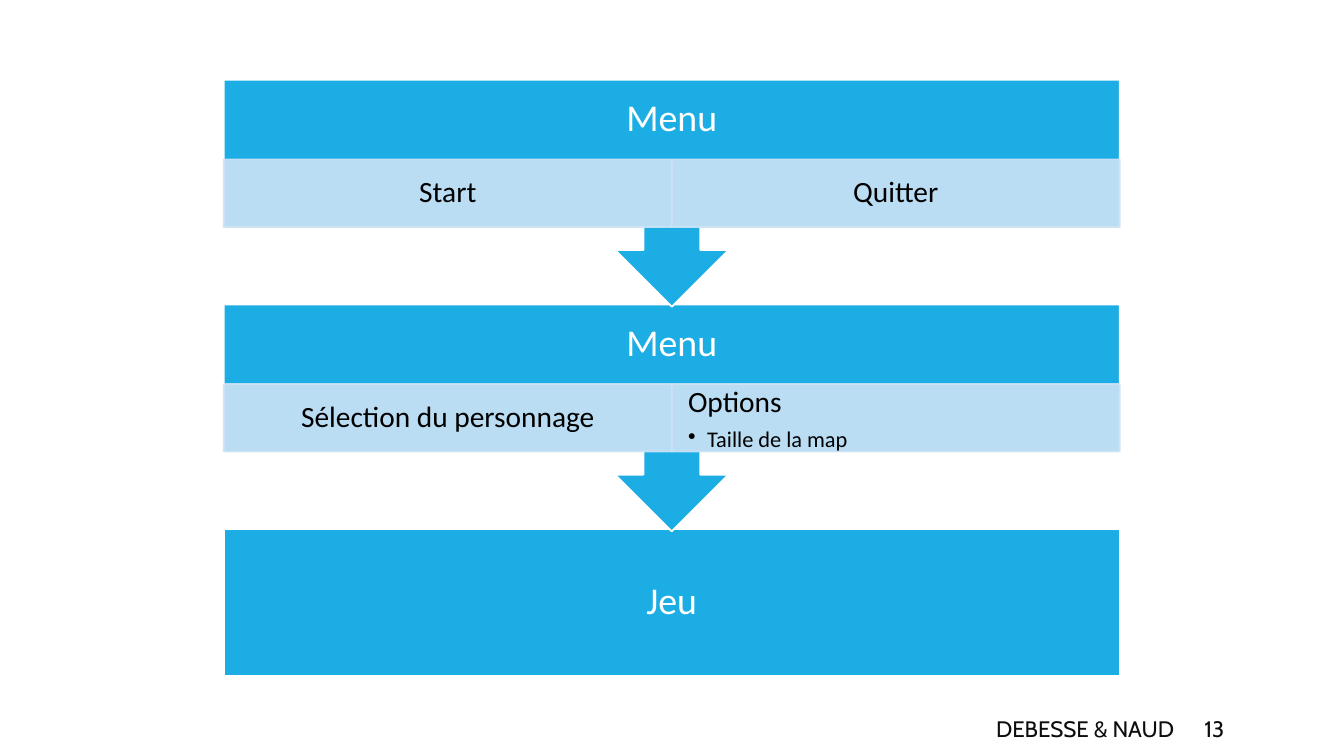
"""Build a flow slide of two menus leading to the game."""
from dataclasses import dataclass
from typing import Any

from lxml.etree import SubElement
from pptx import Presentation
from pptx.dml.color import RGBColor
from pptx.enum.shapes import MSO_SHAPE
from pptx.enum.text import MSO_ANCHOR, PP_ALIGN
from pptx.oxml.ns import qn
from pptx.util import Cm, Pt


@dataclass(frozen=True)
class Theme:
    blue: str = "1CADE4"
    pale: str = "CDE3F5"
    white: str = "FFFFFF"
    black: str = "000000"
    dark: str = "0D0D0D"
    body: str = "Calibri"
    foot: str = "Cabin"
    head: int = 27
    item: int = 21
    small: int = 16
    edge: float = 1.25
    alpha: int = 90000


def apply(target, values):
    for name, value in values.items():
        setattr(target, name, value)


@dataclass
class Canvas:
    slide: Any
    theme: Theme

    def label(self, shape, lines, size, color, font, pad, align, anchor=MSO_ANCHOR.MIDDLE, space=0.9):
        frame = shape.text_frame
        side, edge = pad
        apply(frame, {
            "word_wrap": True, "vertical_anchor": anchor,
            "margin_left": Cm(side), "margin_right": Cm(side),
            "margin_top": Cm(edge), "margin_bottom": Cm(edge),
        })
        frame.text = "\n".join(lines)
        for para in frame.paragraphs:
            apply(para, {"alignment": align, "line_spacing": space})
            for run in para.runs:
                apply(run.font, {"size": Pt(size), "name": font})
                run.font.color.rgb = RGBColor.from_string(color)
        return frame

    def shape(self, kind, box, fill, line, alpha=None):
        shape = self.slide.shapes.add_shape(kind, *map(Cm, box))
        shape.shadow.inherit = False
        shape.fill.solid()
        shape.line.width = Pt(self.theme.edge)
        for part, color in ((shape.fill.fore_color, fill), (shape.line.color, line)):
            part.rgb = RGBColor.from_string(color)
        if alpha:
            for node in shape.element.spPr.iter(qn("a:srgbClr")):
                SubElement(node, qn("a:alpha"), val=str(alpha))
        return shape

    def title(self, shape, text):
        look = self.theme
        self.label(shape, [text], look.head, look.white, look.body, (0.53, 0.53), PP_ALIGN.CENTER)

    def block(self, box, text):
        look = self.theme
        self.title(self.shape(MSO_SHAPE.RECTANGLE, box, look.blue, look.white), text)

    def arrow(self, box, head, text):
        look = self.theme
        shape = self.shape(MSO_SHAPE.UP_ARROW_CALLOUT, box, look.blue, look.white)
        shape.rotation = 180
        left, top, width, _ = box
        self.title(self.slide.shapes.add_textbox(*map(Cm, (left, top, width, head))), text)

    def cell(self, box, lines):
        look = self.theme
        shape = self.shape(MSO_SHAPE.RECTANGLE, box, look.pale, look.pale, look.alpha)
        many = len(lines) > 1
        align = PP_ALIGN.LEFT if many else PP_ALIGN.CENTER
        anchor = MSO_ANCHOR.TOP if many else MSO_ANCHOR.MIDDLE
        frame = self.label(shape, lines, look.item, look.black, look.body, (0.41, 0.07), align, anchor)
        for para in frame.paragraphs[1:]:
            self.bullet(para)
        if many:
            frame.paragraphs[0].space_after = Pt(7)

    def bullet(self, para):
        props = para._p.get_or_add_pPr()
        for name, value in {"marL": Cm(0.48), "indent": -Cm(0.48), "lvl": 1}.items():
            props.set(name, str(int(value)))
        SubElement(props, qn("a:buChar"), char="•")
        for run in para.runs:
            run.font.size = Pt(self.theme.small)

    def footer(self, left, width, text, align):
        look = self.theme
        box = self.slide.shapes.add_textbox(*map(Cm, (left, 17.98, width, 0.76)))
        self.label(box, [text], look.small, look.dark, look.foot, (0.25, 0.13), align, space=1.0)


MENUS = [
    ("Menu", [["Start"], ["Quitter"]]),
    ("Menu", [["Sélection du personnage"], ["Options", "Taille de la map"]]),
]
LEFT, TOP, WIDTH, PITCH = 5.64, 2.01, 22.58, 5.66
HEAD, ROW, CALL, LAST = 2.01, 1.7, 5.72, 3.71


def main():
    deck = Presentation()
    apply(deck, {"slide_width": Cm(33.87), "slide_height": Cm(19.05)})
    page = Canvas(deck.slides.add_slide(deck.slide_layouts[6]), Theme())
    page.footer(13.46, 16.38, "DEBESSE & NAUD", PP_ALIGN.RIGHT)
    page.footer(30.1, 2.69, "13", PP_ALIGN.LEFT)
    page.block((LEFT, TOP + len(MENUS) * PITCH, WIDTH, LAST), "Jeu")
    for step, (text, cells) in reversed(list(enumerate(MENUS))):
        top = TOP + step * PITCH
        page.arrow((LEFT, top, WIDTH, CALL), HEAD, text)
        width = WIDTH / len(cells)
        for col, lines in enumerate(cells):
            page.cell((LEFT + col * width, top + HEAD, width, ROW), lines)
    deck.save("out.pptx")


if __name__ == "__main__":
    main()
